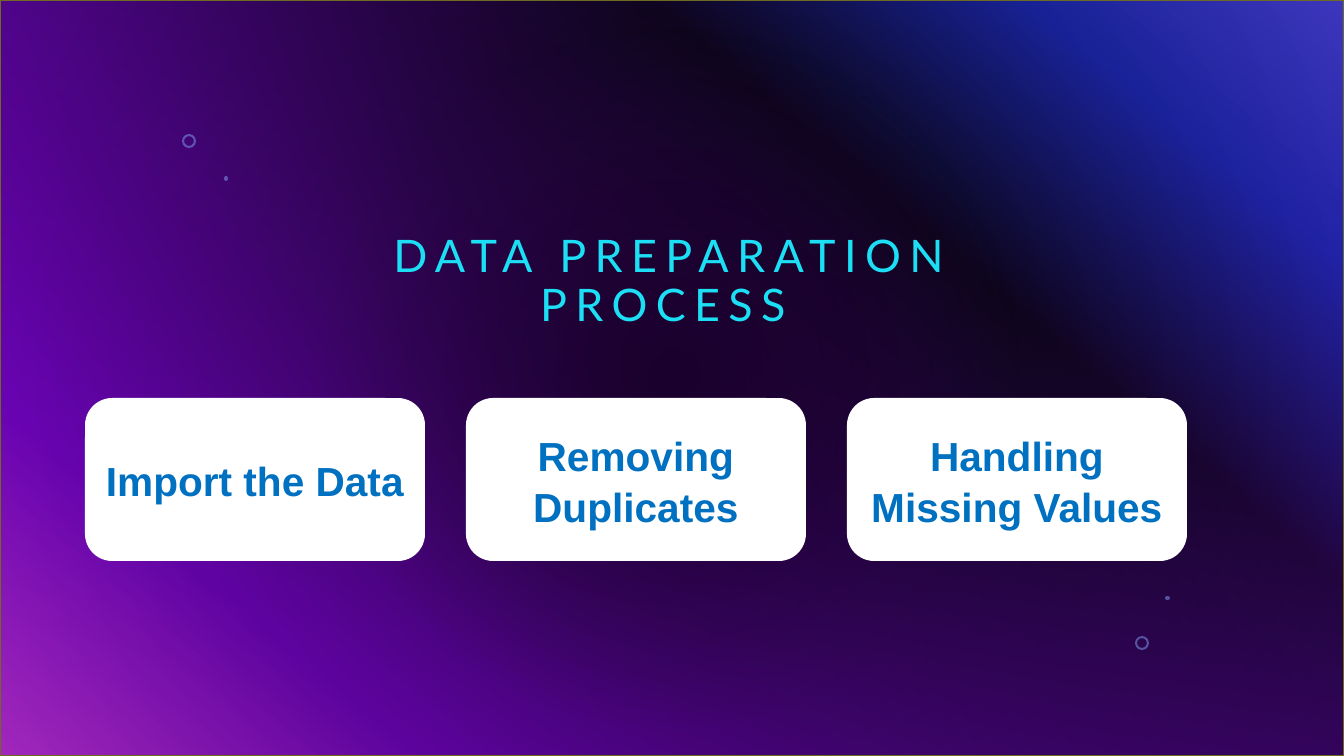
import pptx
import pptx.util
import pptx.dml.color
import pptx.enum.shapes
import pptx.enum.text
import pptx.oxml
import pptx.oxml.ns

TITLE = "DATA PREPARATION PROCESS "
STEPS = ["Import the Data", "Removing Duplicates", "Handling Missing Values"]
RINGS = [(182, 134, 14, 14), (1135, 636, 14, 14)]
DOTS = [(224, 176, 4, 5), (1165, 596, 5, 4)]
COLORS = {"title": "1CDFF5", "card": "FFFFFF", "step": "0070C0",
          "bubble": "83A7FD", "border": "6E6A21"}
BACKDROP = [(0, "316CFC", 100), (14, "0343DF", 100), (31, "02090E", 100),
            (81, "9405FC", 100), (100, "FC4EFB", 100)]
VEIL = [(0, "1A012C", 100), (45, "1A012C", 50), (100, "4A027F", 50)]
LINEAR = '<a:lin ang="7800000" scaled="0"/>'
RADIAL = '<a:path path="circle"><a:fillToRect l="50000" t="50000" r="50000" b="50000"/></a:path>'

WIDTH, HEIGHT = 1344, 756
TITLE_BOX = (324, -36, 698, 372)
CARD_LEFT, CARD_TOP, CARD_W, CARD_H, CARD_GAP = 85, 398, 340, 163, 41
EMU_PER_PX = 914400 / 100.8
SHAPE = pptx.enum.shapes.MSO_SHAPE
ANCHOR = pptx.enum.text.MSO_ANCHOR


def px(n):
    return pptx.util.Emu(round(n * EMU_PER_PX))


def rgb(name):
    return pptx.dml.color.RGBColor.from_string(COLORS[name])


def set_gradient(fill, parent, stops, direction):
    fill.solid()
    gs = "".join(
        f'<a:gs pos="{pos * 1000}"><a:srgbClr val="{color}">'
        f'<a:alpha val="{alpha * 1000}"/></a:srgbClr></a:gs>'
        for pos, color, alpha in stops)
    grad = pptx.oxml.parse_xml(
        f'<a:gradFill {pptx.oxml.ns.nsdecls("a")} rotWithShape="1">'
        f'<a:gsLst>{gs}</a:gsLst>{direction}</a:gradFill>')
    solid = parent.find(pptx.oxml.ns.qn("a:solidFill"))
    parent.replace(solid, grad)


def add_shape(s, kind, box, color):
    sp = s.shapes.add_shape(kind, *map(px, box))
    sp.shadow.inherit = False
    sp.fill.solid()
    sp.fill.fore_color.rgb = rgb(color)
    sp.line.fill.background()
    return sp


def add_text(tf, text, font, size, color, anchor, spacing):
    tf.word_wrap = True
    tf.vertical_anchor = anchor
    p = tf.paragraphs[0]
    p.alignment = pptx.enum.text.PP_ALIGN.CENTER
    p.line_spacing = spacing
    r = p.add_run()
    r.text = text
    r.font.name = font
    r.font.size = pptx.util.Pt(size)
    r.font.color.rgb = rgb(color)
    return r


def add_backdrop(s):
    fill = s.background.fill
    fill.solid()
    bg = s.element.find(".//" + pptx.oxml.ns.qn("p:bgPr"))
    set_gradient(fill, bg, BACKDROP, LINEAR)
    veil = add_shape(s, SHAPE.RECTANGLE, (0, 0, WIDTH, HEIGHT), "border")
    set_gradient(veil.fill, veil.element.spPr, VEIL, RADIAL)
    veil.line.color.rgb = rgb("border")
    veil.line.width = pptx.util.Pt(1)


def add_bubbles(s):
    for kind, boxes in ((SHAPE.DONUT, RINGS), (SHAPE.OVAL, DOTS)):
        for box in boxes:
            sp = add_shape(s, kind, box, "bubble")
            if kind == SHAPE.DONUT:
                sp.adjustments[0] = 0.15
            color = sp.element.spPr.find(".//" + pptx.oxml.ns.qn("a:srgbClr"))
            color.append(pptx.oxml.parse_xml(
                f'<a:alpha {pptx.oxml.ns.nsdecls("a")} val="49000"/>'))


def add_title(s):
    title = s.shapes.title
    title.left, title.top, title.width, title.height = map(px, TITLE_BOX)
    r = add_text(title.text_frame, TITLE, "Lato", 32, "title", ANCHOR.BOTTOM, 0.9)
    r.font.element.set("spc", "600") if hasattr(r.font, "element") else r._r.get_or_add_rPr().set("spc", "600")
    s.shapes.element.append(title.element)


def add_steps(s):
    for i, step in enumerate(STEPS):
        left = CARD_LEFT + i * (CARD_W + CARD_GAP)
        sp = add_shape(s, SHAPE.ROUNDED_RECTANGLE, (left, CARD_TOP, CARD_W, CARD_H), "card")
        r = add_text(sp.text_frame, step, "Arial", 29, "step", ANCHOR.MIDDLE, 1.05)
        r.font.bold = True


def main():
    prs = pptx.Presentation()
    prs.slide_width, prs.slide_height = px(WIDTH), px(HEIGHT)
    s = prs.slides.add_slide(prs.slide_layouts[5])
    add_backdrop(s)
    add_bubbles(s)
    add_title(s)
    add_steps(s)
    prs.save("out.pptx")


if __name__ == "__main__":
    main()
